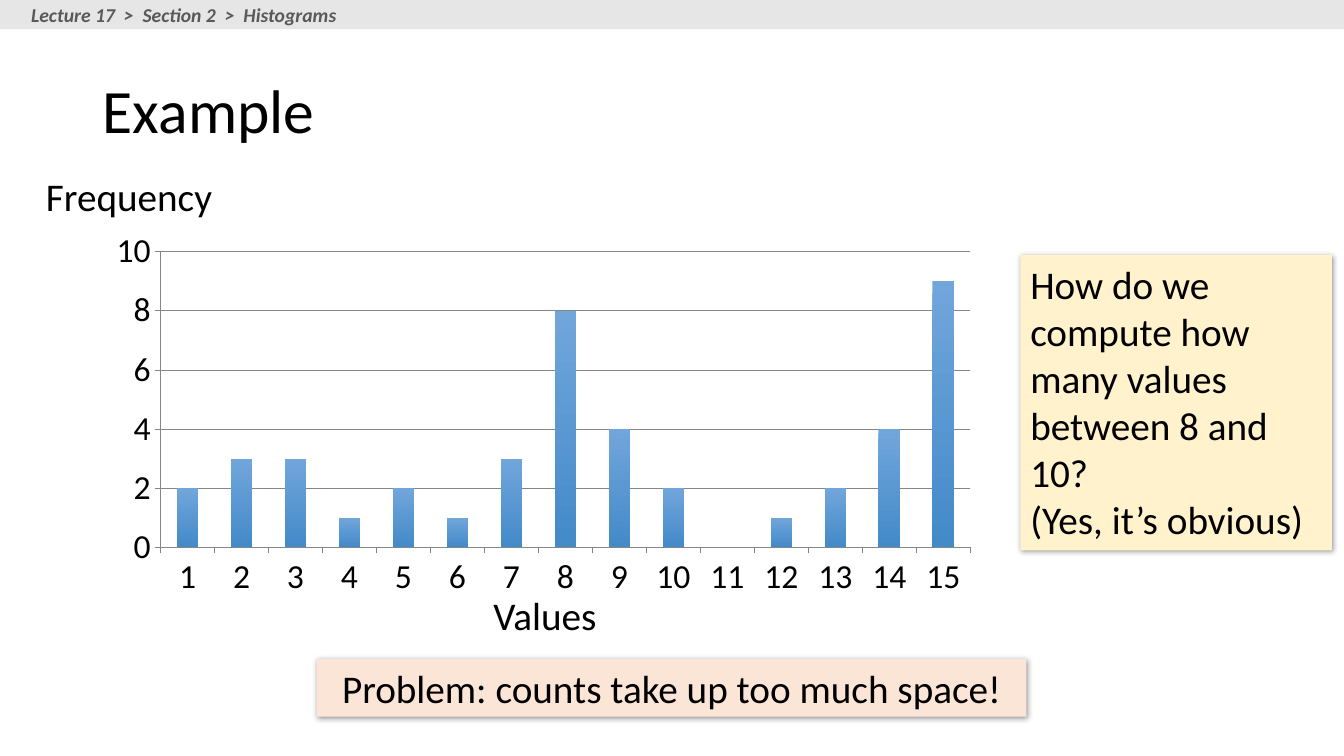
from dataclasses import dataclass

from lxml import etree
from pptx import Presentation
from pptx.chart import data as chart_data
from pptx.dml.color import RGBColor
from pptx.enum import chart as ch, shapes, text
from pptx.oxml import ns
from pptx.util import Inches, Pt


@dataclass(frozen=True)
class Theme:
    font: str = "Calibri"
    ink: str = "000000"
    crumb: str = "595959"
    band: str = "E7E6E6"
    question: str = "FFF2CC"
    problem: str = "FBE5D6"
    bar_top: str = "71A6DB"
    bar_bottom: str = "438AC9"
    axis: str = "868686"
    title_size: int = 44
    body_size: int = 28
    axis_size: int = 24
    crumb_size: int = 14


THEME = Theme()
COUNTS = (2, 3, 3, 1, 2, 1, 3, 8, 4, 2, 0, 1, 2, 4, 9)


def rgb(value):
    return RGBColor.from_string(value)


def style_font(font, size, color=THEME.ink):
    font.name = THEME.font
    font.size = Pt(size)
    font.color.rgb = rgb(color)


def write(sp, lines, size=THEME.body_size, align=text.PP_ALIGN.LEFT,
          color=THEME.ink, wrap=True):
    tf = sp.text_frame
    tf.text = "\n".join(lines)
    tf.word_wrap = wrap
    for p in tf.paragraphs:
        p.alignment = align
        for r in p.runs:
            style_font(r.font, size, color)
    return tf


def add_box(parent, box, fill):
    sp = parent.add_shape(shapes.MSO_SHAPE.RECTANGLE, *map(Inches, box))
    sp.shadow.inherit = False
    sp.fill.solid()
    sp.fill.fore_color.rgb = rgb(fill)
    sp.line.fill.background()
    return sp


def add_shadow(sp):
    effects = sp._element.spPr.find(ns.qn("a:effectLst"))
    shadow = etree.SubElement(effects, ns.qn("a:outerShdw"), blurRad=str(Pt(4)),
                              dist=str(Pt(1)), dir="2700000", algn="tl")
    color = etree.SubElement(shadow, ns.qn("a:srgbClr"), val="000000")
    etree.SubElement(color, ns.qn("a:alpha"), val="40000")


def add_breadcrumb(slide, box):
    left, top, width, height = box
    group = slide.shapes.add_group_shape()
    add_box(group.shapes, box, THEME.band)
    label = group.shapes.add_textbox(Inches(left + 0.21), Inches(top - 0.02),
                                     Inches(3.24), Inches(height + 0.05))
    write(label, ["Lecture 17  >  Section 2  >  Histograms"],
          THEME.crumb_size, color=THEME.crumb, wrap=False)
    font = label.text_frame.paragraphs[0].runs[0].font
    font.bold = font.italic = True


def add_title(slide, box):
    title = slide.shapes.title
    title.left, title.top, title.width, title.height = map(Inches, box)
    tf = write(title, ["Example"], THEME.title_size)
    tf.vertical_anchor = text.MSO_ANCHOR.MIDDLE
    tf.paragraphs[0].line_spacing = 0.9


def add_label(slide, box, words):
    sp = slide.shapes.add_textbox(*map(Inches, box))
    write(sp, [words], align=text.PP_ALIGN.CENTER)


def add_histogram(slide, box):
    left, top, width, height = box
    data = chart_data.CategoryChartData()
    data.categories = [str(n) for n in range(1, len(COUNTS) + 1)]
    data.add_series("Series 1", COUNTS)
    chart = slide.shapes.add_chart(ch.XL_CHART_TYPE.COLUMN_CLUSTERED,
                                   *map(Inches, box), data).chart
    chart.has_legend = chart.has_title = False
    style_font(chart.font, THEME.axis_size)

    # Axes
    counts = chart.value_axis
    counts.minimum_scale, counts.maximum_scale, counts.major_unit = 0, 10, 2
    counts.has_major_gridlines = True
    for axis in (counts, chart.category_axis):
        axis.major_tick_mark = ch.XL_TICK_MARK.OUTSIDE
        style_font(axis.tick_labels.font, THEME.axis_size)
    for line in (counts.format.line, chart.category_axis.format.line,
                 counts.major_gridlines.format.line):
        line.color.rgb = rgb(THEME.axis)
        line.width = Pt(0.75)

    # Bars
    plot = chart.plots[0]
    plot.gap_width = 150
    plot.vary_by_categories = False
    fill = plot.series[0].format.fill
    fill.gradient()
    fill.gradient_angle = 270
    for stop, color, position in zip(fill.gradient_stops,
                                     (THEME.bar_top, THEME.bar_bottom), (0, 1)):
        stop.color.rgb = rgb(color)
        stop.position = position

    # Axis names above and below the plot
    add_label(slide, (left - 0.98, top - 0.56, 2.56, 0.57), "Frequency")
    add_label(slide, (left + 2.49, top + height - 0.19, 3.87, 0.57), "Values")


def add_callout(slide, box, fill, lines, align):
    sp = add_box(slide.shapes, box, fill)
    add_shadow(sp)
    tf = write(sp, lines, align=align)
    tf.vertical_anchor = text.MSO_ANCHOR.TOP


def build_example(prs):
    slide = prs.slides.add_slide(prs.slide_layouts[5])
    add_histogram(slide, (0.98, 2.22, 8.82, 3.79))
    add_callout(slide, (10.12, 2.53, 3.09, 2.93), THEME.question,
                ["How do we compute how many values between 8 and 10?",
                 "(Yes, it’s obvious)"], text.PP_ALIGN.LEFT)
    add_callout(slide, (3.14, 6.54, 7.04, 0.57), THEME.problem,
                ["Problem: counts take up too much space!"],
                text.PP_ALIGN.CENTER)
    add_title(slide, (0.92, 0.4, 11.5, 1.45))
    add_breadcrumb(slide, (0, 0, 13.33, 0.29))


prs = Presentation()
prs.slide_width, prs.slide_height = Inches(13.33), Inches(7.5)
build_example(prs)
prs.save("out.pptx")
